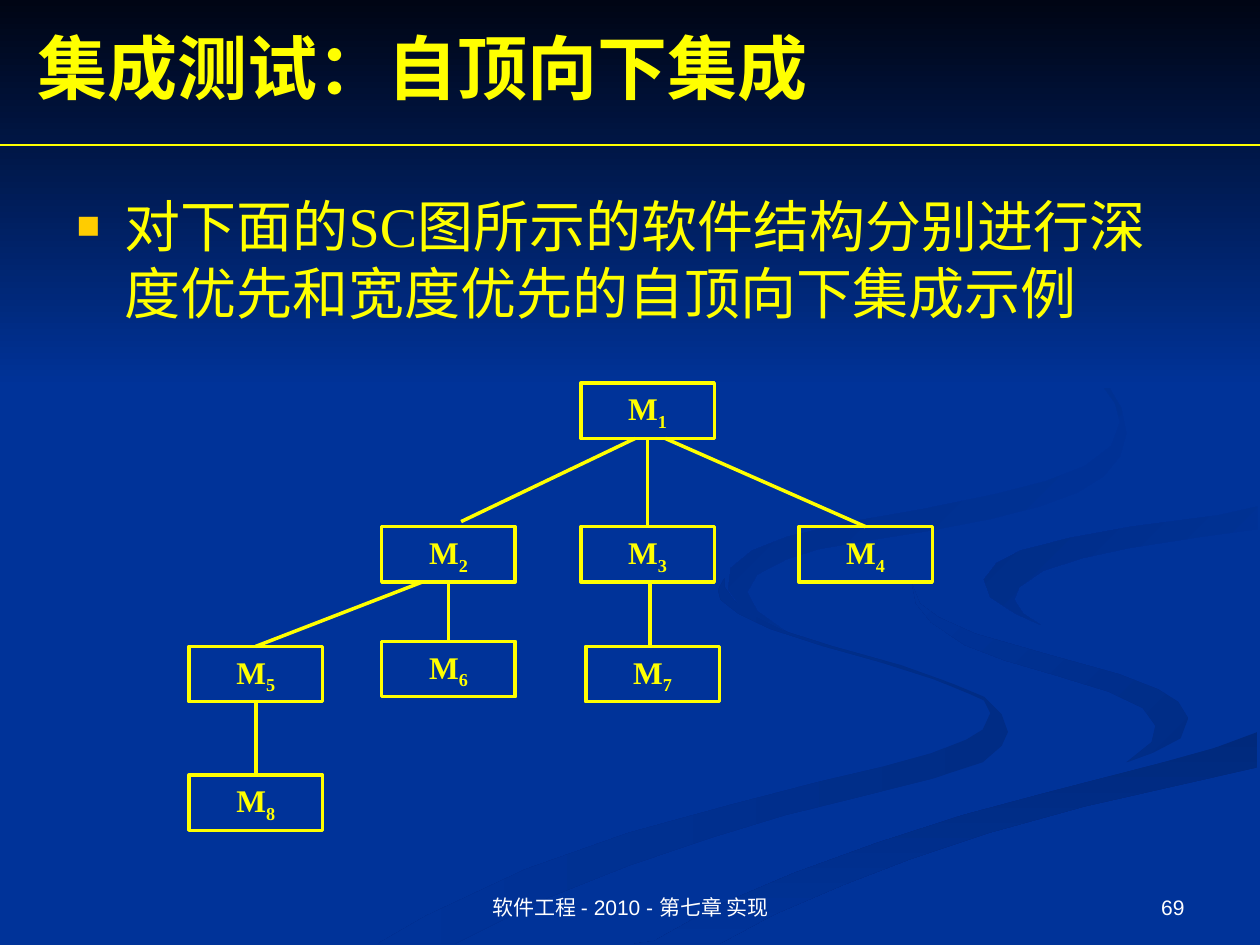
from dataclasses import dataclass

from lxml.etree import SubElement
from pptx import Presentation
from pptx.dml.color import RGBColor as Rgb
from pptx.enum.shapes import MSO_CONNECTOR as Link, MSO_SHAPE as Shape
from pptx.enum.text import MSO_ANCHOR as Anchor, MSO_AUTO_SIZE as Fit, PP_ALIGN as Align
from pptx.oxml.ns import qn
from pptx.util import Inches, Pt


@dataclass(frozen=True)
class Theme:
    """Colours, fonts and type sizes of the slide."""
    back: Rgb = Rgb(0x00, 0x33, 0x99)
    night: Rgb = Rgb(0x00, 0x05, 0x14)
    shade: Rgb = Rgb(0x00, 0x2C, 0x85)
    deep: Rgb = Rgb(0x00, 0x29, 0x7C)
    ink: Rgb = Rgb(0xFF, 0xFF, 0x00)
    mark: str = "FFCC00"
    note: Rgb = Rgb(0xFF, 0xFF, 0xFF)
    serif: str = "Times New Roman"
    sans: str = "Arial"
    head: int = 40
    body: int = 32
    node: int = 18
    foot: int = 12


THEME = Theme()

LOWER = [
    (7.81, 5.53), (7.57, 5.43), (7.15, 5.28), (6.61, 5.13), (6.26, 5.02),
    (6.02, 4.9), (5.83, 4.77), (5.75, 4.66), (5.75, 4.59), (5.7, 4.68),
    (5.72, 4.76), (5.86, 4.87), (6.11, 4.99), (6.54, 5.13), (6.97, 5.25),
    (7.41, 5.39), (7.7, 5.51), (7.81, 5.56), (7.86, 5.66), (7.8, 5.79),
    (7.67, 5.87), (7.39, 5.98), (6.99, 6.09), (6.52, 6.2), (5.79, 6.39),
    (4.99, 6.61), (4.17, 6.9), (3.38, 7.27), (3, 7.49), (3.61, 7.49),
    (4.31, 7.14), (4.99, 6.87), (5.64, 6.65), (6.23, 6.47), (6.76, 6.34),
    (7.4, 6.18), (7.8, 6.05), (7.95, 5.92), (8, 5.81), (7.95, 5.67)]
RIGHT = [
    (9.43, 5.7), (9.35, 5.57), (9.19, 5.47), (8.88, 5.35), (8.3, 5.19),
    (7.74, 5.03), (7.45, 4.9), (7.3, 4.79), (7.24, 4.64), (7.27, 4.79),
    (7.39, 4.94), (7.66, 5.12), (7.97, 5.24), (8.38, 5.36), (8.8, 5.49),
    (9.07, 5.62), (9.17, 5.76), (9.14, 5.89), (8.94, 6.05), (9.16, 5.97),
    (9.37, 5.86)]
SWEEP = [
    (5.03, 7.49), (5.71, 7.49), (6.14, 7.26), (6.7, 7.02), (7.22, 6.82),
    (7.85, 6.61), (8.61, 6.4), (9.98, 6.09), (9.98, 5.81), (9.63, 5.94),
    (9.2, 6.06), (8.31, 6.29), (7.64, 6.47), (6.96, 6.69), (6.3, 6.93),
    (5.69, 7.19), (5.19, 7.47)]
EDGE = [
    (7.81, 4.6), (7.86, 4.74), (8.06, 4.87), (8.26, 4.96), (8.12, 4.87),
    (8.05, 4.76), (8.09, 4.66), (8.28, 4.53), (8.59, 4.43), (8.96, 4.35),
    (9.54, 4.26), (9.98, 4.2), (9.98, 4.02), (9.67, 4.09), (8.98, 4.18),
    (8.49, 4.27), (8.1, 4.37), (7.91, 4.47)]
UPPER = [
    (6.83, 4.3), (7.39, 4.21), (7.86, 4.12), (8.25, 4.02), (8.55, 3.91),
    (8.76, 3.78), (8.89, 3.62), (8.94, 3.44), (8.9, 3.24), (8.8, 3.07),
    (8.64, 2.91), (8.43, 2.75), (8.1, 2.56), (7.8, 2.41), (7.62, 2.33),
    (8.05, 2.54), (8.46, 2.79), (8.7, 2.99), (8.85, 3.2), (8.89, 3.35),
    (8.82, 3.54), (8.61, 3.7), (8.3, 3.82), (7.91, 3.92), (7.33, 4.04),
    (6.76, 4.14), (6.25, 4.26), (5.97, 4.37), (5.8, 4.51), (5.78, 4.68),
    (5.9, 4.84), (6.22, 5), (6.01, 4.85), (5.93, 4.7), (6.01, 4.56),
    (6.24, 4.44), (6.49, 4.36)]
SWIRLS = [
    (LOWER, THEME.shade, THEME.back, 180),
    (RIGHT, THEME.shade, THEME.back, 135),
    (SWEEP, THEME.deep, THEME.back, 270),
    (EDGE, THEME.back, THEME.shade, 135),
    (UPPER, THEME.back, THEME.shade, 135)]

NODES = {
    1: (3.11, 0), 2: (1.53, 1.14), 3: (3.11, 1.14), 4: (4.84, 1.14),
    5: (0, 2.09), 6: (1.53, 2.05), 7: (3.15, 2.09), 8: (0, 3.11)}
LINKS = [
    (1, 2, -0.1, 0.1, 0.04), (1, 3, 0, 0, 0), (1, 4, 0.14, 0, 0),
    (2, 5, -0.21, 0, 0), (2, 6, 0, 0, 0), (3, 7, 0.02, -0.02, 0), (5, 8, 0, 0, 0)]


def blend(shape, start, end, angle):
    """Fill a shape with a two-colour gradient and no line."""
    shape.shadow.inherit = False
    shape.line.fill.background()
    shape.fill.gradient()
    shape.fill.gradient_angle = angle
    for stop, tint in zip(shape.fill.gradient_stops, (start, end)):
        stop.color.rgb = tint


def style(para, size, tint, face, bold=False):
    """Set the font of a whole paragraph."""
    font = para.font
    font.size, font.name, font.bold = Pt(size), face, bold
    font.color.rgb = tint


def wire(slide, x1, y1, x2, y2, width):
    """Draw a straight line without a shadow."""
    line = slide.shapes.add_connector(Link.STRAIGHT, x1, y1, x2, y2)
    line.line.color.rgb = THEME.ink
    line.line.width = Pt(width)
    SubElement(line._element.spPr, qn("a:effectLst"))
    return line


def decor(slide, left, top, width, height):
    """Draw the swirls and the dark band at the head of the page."""
    slide.background.fill.solid()
    slide.background.fill.fore_color.rgb = THEME.back
    for points, start, end, angle in SWIRLS:
        dots = [(Inches(x), Inches(y)) for x, y in points]
        pen = slide.shapes.build_freeform(*dots[0])
        pen.add_line_segments(dots[1:], close=True)
        blend(pen.convert_to_shape(left, top), start, end, angle)
    band = slide.shapes.add_shape(Shape.RECTANGLE, left, top, width, Inches(3.08))
    blend(band, THEME.night, THEME.back, 270)
    rule = top + Inches(1.15)
    wire(slide, left, rule, left + width, rule, 0.75)


def title(slide, left, top, width, height):
    """Place the title above the band."""
    head = slide.shapes.title
    head.element.getparent().append(head.element)
    head.left, head.top, head.width, head.height = left, top, width, height
    frame = head.text_frame
    frame.text = "集成测试：自顶向下集成"
    frame.auto_size, frame.vertical_anchor = Fit.NONE, Anchor.MIDDLE
    para = frame.paragraphs[0]
    para.alignment = Align.LEFT
    style(para, THEME.head, THEME.ink, THEME.serif, True)


def body(slide, left, top, width, height):
    """Write the bulleted text."""
    frame = slide.shapes.add_textbox(left, top, width, height).text_frame
    frame.word_wrap = True
    para = frame.paragraphs[0]
    para.text = "对下面的SC图所示的软件结构分别进行深度优先和宽度优先的自顶向下集成示例"
    props = para._p.get_or_add_pPr()
    props.set("marL", str(Inches(0.38)))
    props.set("indent", str(Inches(-0.38)))
    SubElement(SubElement(props, qn("a:buClr")), qn("a:srgbClr"), val=THEME.mark)
    SubElement(props, qn("a:buSzPct"), val="70000")
    SubElement(props, qn("a:buFont"), typeface=THEME.sans)
    SubElement(props, qn("a:buChar"), char="■")
    style(para, THEME.body, THEME.ink, THEME.serif)


def module(slide, num, left, top, width, height):
    """Draw one module box with its numbered label."""
    box = slide.shapes.add_shape(Shape.RECTANGLE, left, top, width, height)
    box.shadow.inherit = False
    box.fill.background()
    box.line.color.rgb = THEME.ink
    box.line.width = Pt(2)
    box.text_frame.vertical_anchor = Anchor.MIDDLE
    para = box.text_frame.paragraphs[0]
    para.alignment = Align.CENTER
    para.add_run().text = "M"
    sub = para.add_run()
    sub.text = str(num)
    sub.font._element.set("baseline", "-25000")
    style(para, THEME.node, THEME.ink, THEME.serif, True)
    return box


def chart(slide, left, top, width, height):
    """Draw the module tree and its links."""
    wide, high = Inches(1.06), Inches(0.44)
    boxes = {num: module(slide, num, left + Inches(x), top + Inches(y), wide, high)
             for num, (x, y) in NODES.items()}
    for above, below, out, into, gap in LINKS:
        start, end = boxes[above], boxes[below]
        line = wire(slide, start.left + wide // 2 + Inches(out), start.top + high,
                    end.left + wide // 2 + Inches(into), end.top - Inches(gap), 2)
        if not out:
            line.begin_connect(start, 2)
        if not into:
            line.end_connect(end, 0)


def footer(slide, left, top, width, height):
    """Write the course line and the page number."""
    parts = [("软件工程 - 2010 - 第七章 实现", 0, 3.17, Align.CENTER),
             ("69", 3.75, 2.33, Align.RIGHT)]
    for text, x, wide, align in parts:
        frame = slide.shapes.add_textbox(
            left + Inches(x), top, Inches(wide), height).text_frame
        frame.word_wrap, frame.vertical_anchor = True, Anchor.BOTTOM
        para = frame.paragraphs[0]
        para.text, para.alignment = text, align
        style(para, THEME.foot, THEME.note, THEME.sans)


def main():
    """Build and save the slide."""
    deck = Presentation()
    deck.slide_width, deck.slide_height = Inches(10), Inches(7.5)
    slide = deck.slides.add_slide(deck.slide_layouts[5])
    plan = [(decor, (0, 0, 10, 7.5)), (body, (0.51, 1.47, 9, 1.29)),
            (title, (0.2, 0.14, 9.8, 0.77)), (chart, (1.5, 3.04, 5.9, 3.55)),
            (footer, (3.42, 6.83, 6.08, 0.52))]
    for draw, box in plan:
        draw(slide, *map(Inches, box))
    deck.save("out.pptx")


if __name__ == "__main__":
    main()
